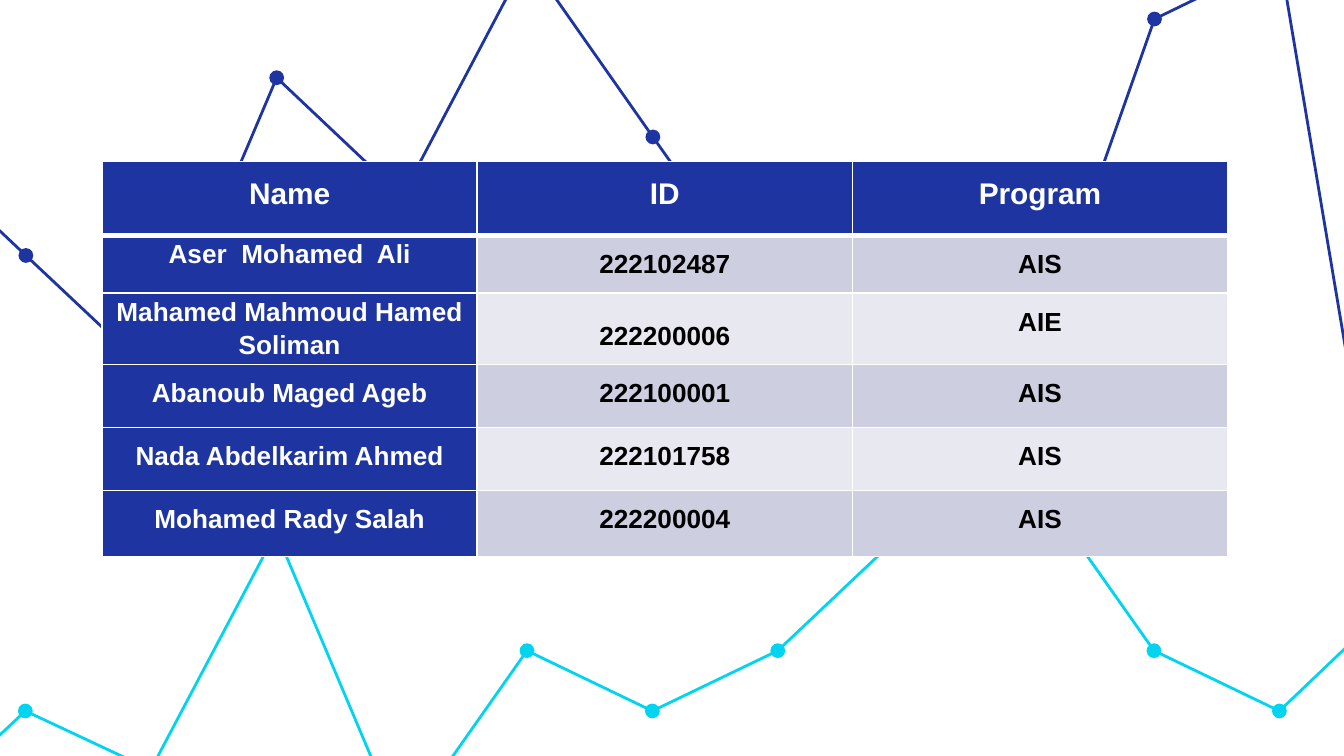
from lxml.etree import SubElement as Sub
from pptx import Presentation as Deck
from pptx.dml.color import RGBColor as Rgb
from pptx.enum.shapes import MSO_SHAPE as Form
from pptx.enum.text import MSO_ANCHOR as Anchor, PP_ALIGN as Align
from pptx.oxml.ns import qn
from pptx.util import Cm, Pt

HUES = {"blue": "1E35A1", "cyan": "00D4F0", "dark": "CDCEE0",
        "light": "E8E8F0", "white": "FFFFFF", "black": "000000"}
WIDE, HIGH = 25.4, 14.29
STEP = 2.37  # gap between the points of a zigzag

# Table frame in cm
LEFT, TOP, COL = 1.93, 3.05, 7.09
ROWS = [1.4, 1.09, 1.35, 1.19, 1.19, 1.25]

HEAD = ["Name", "ID", "Program"]
TEAM = [
    ["Aser  Mohamed  Ali", "222102487", "AIS"],
    ["Mahamed Mahmoud Hamed Soliman", "222200006", "AIE"],
    ["Abanoub Maged Ageb", "222100001", "AIS"],
    ["Nada Abdelkarim Ahmed", "222101758", "AIS"],
    ["Mohamed Rady Salah", "222200004", "AIS"],
]

# Heights of the zigzag points in cm
UPPER = [8.18, 2.59, 4.83, 7.06, 1.47, 3.71, -0.79, 2.59, 5.94, 4.83,
         7.09, 0.36, -0.79]
LOWER = [15.67, 13.44, 14.55, 10.06, 15.67, 12.3, 13.44, 12.3, 10.06,
         8.94, 12.3, 13.44, 11.18]


def hue(name):
    return Rgb.from_string(HUES[name])


def write(frame, text, size=14, color="black", space=1.5):
    para = frame.paragraphs[0]
    para.alignment = Align.CENTER
    para.line_spacing = space
    run = para.add_run()
    run.text = text
    font = run.font
    font.name, font.size, font.bold = "Arial", Pt(size), True
    font.color.rgb = hue(color)


def in_view(x, y):
    """Tell whether a point is on the slide and clear of the table."""
    on_slide = 0 < x < WIDE and 0 < y < HIGH
    covered = (LEFT < x < LEFT + 3 * COL
               and TOP < y < TOP + sum(ROWS))
    return on_slide and not covered


class Page:
    dot_size = 0.28
    line_width = 1.5

    def __init__(self, deck):
        self.slide = deck.slides.add_slide(deck.slide_layouts[6])
        self.shapes = self.slide.shapes

    def dot(self, group, x, y, color):
        size = self.dot_size
        dot = group.shapes.add_shape(Form.OVAL, Cm(x - size / 2),
                                     Cm(y - size / 2), Cm(size), Cm(size))
        dot.shadow.inherit = False
        dot.fill.solid()
        dot.fill.fore_color.rgb = hue(color)
        dot.line.fill.background()

    def zigzag(self, start, heights, end, color):
        spots = [(start + i * STEP, y) for i, y in enumerate(heights)]
        first, *rest = [(Cm(x), Cm(y)) for x, y in spots + [end]]
        group = self.shapes.add_group_shape()
        pen = group.shapes.build_freeform(*first)
        pen.add_line_segments(rest, close=False)
        line = pen.convert_to_shape()
        line.shadow.inherit = False
        line.fill.background()
        line.line.color.rgb = hue(color)
        line.line.width = Pt(self.line_width)
        for x, y in spots:
            if in_view(x, y):
                self.dot(group, x, y, color)

    def border(self, cell, **widths):
        props = cell._tc.get_or_add_tcPr()
        for side in "LRTB":
            width = Pt(widths.get(side, 1))
            line = Sub(props, qn("a:ln" + side), w=str(width))
            fill = Sub(line, qn("a:solidFill"))
            Sub(fill, qn("a:srgbClr"), val=HUES["white"])

    def cell(self, cell, text, fill, edges, **style):
        cell.margin_left = cell.margin_right = Cm(0.18)
        cell.margin_top = cell.margin_bottom = 0
        self.border(cell, **edges)
        cell.fill.solid()
        cell.fill.fore_color.rgb = hue(fill)
        write(cell.text_frame, text, **style)

    def table(self, head, body):
        grid = self.shapes.add_table(
            len(ROWS), len(head), Cm(LEFT), Cm(TOP),
            Cm(COL * len(head)), Cm(sum(ROWS))).table
        grid.first_row = grid.horz_banding = False
        for col in grid.columns:
            col.width = Cm(COL)
        for row, high in zip(grid.rows, ROWS):
            row.height = Cm(high)

        for c, text in enumerate(head):
            self.cell(grid.cell(0, c), text, "blue", {"B": 3},
                      size=16, color="white")
        for r, row in enumerate(body, 1):
            edges = {"T": 3} if r == 1 else {}
            band = "dark" if r % 2 else "light"
            name, *facts = row
            self.cell(grid.cell(r, 0), name, "blue", edges, color="white",
                      space=1.15 if r < 3 else 1.5)
            for c, text in enumerate(facts, 1):
                self.cell(grid.cell(r, c), text, band, edges)
        grid.cell(2, 1).vertical_anchor = Anchor.MIDDLE


def main():
    deck = Deck()
    deck.slide_width, deck.slide_height = Cm(WIDE), Cm(HIGH)
    page = Page(deck)

    # Background zigzags
    page.zigzag(-4.25, UPPER, (25.7, 8.2), "blue")
    page.zigzag(-1.89, LOWER, (28.07, 15.7), "cyan")

    # Team table
    page.table(HEAD, TEAM)
    deck.save("out.pptx")


if __name__ == "__main__":
    main()
